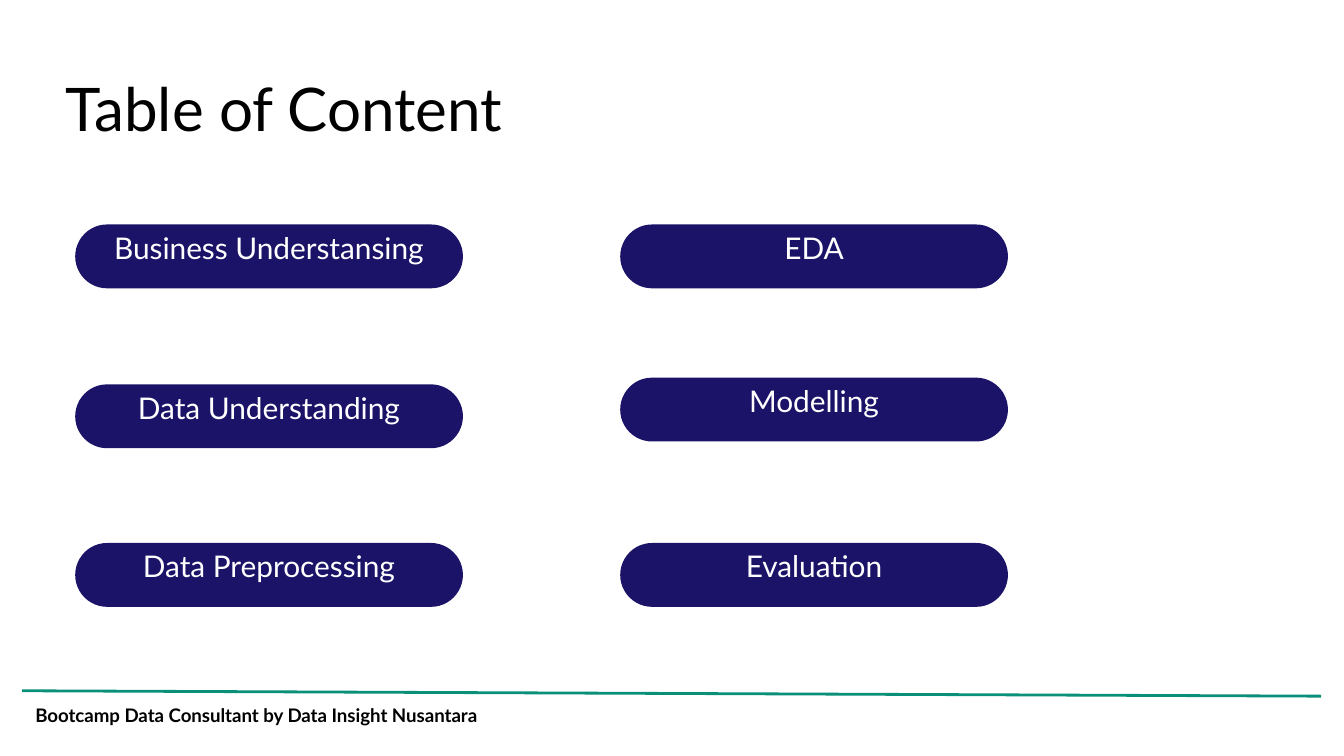
from dataclasses import dataclass

from lxml.etree import SubElement
from pptx import Presentation
from pptx.dml.color import RGBColor
from pptx.enum.shapes import MSO_CONNECTOR as Connector, MSO_SHAPE as Shape
from pptx.enum.text import MSO_ANCHOR as Anchor, MSO_AUTO_SIZE as AutoSize, PP_ALIGN as Align
from pptx.oxml.ns import qn
from pptx.util import Pt

EMU_PER_PX = 4572


@dataclass(frozen=True)
class Theme:
    """Fonts, colours and type sizes of the deck."""
    font: str = "Lato"
    ink: str = "000000"
    paper: str = "FFFFFF"
    pill: str = "1B1368"
    rule: str = "0A9079"
    title_size: float = 32.2
    pill_size: float = 16
    footer_size: float = 10
    rule_width: float = 1.5


THEME = Theme()


def px(length):
    """Turn pixels into EMU."""
    return length * EMU_PER_PX


def rgb(value):
    """Turn a hex string into a colour."""
    return RGBColor.from_string(value)


def place(shape, box):
    """Move and size a shape to a box in px."""
    shape.left, shape.top, shape.width, shape.height = map(px, box)


def write(shape, text, *, size, color=THEME.ink, bold=False, align=Align.LEFT,
          anchor=Anchor.TOP, inset_top=20, line_spacing=1.0, space_before=0):
    """Put one formatted paragraph into a shape."""
    frame = shape.text_frame
    frame.word_wrap = True
    frame.auto_size = AutoSize.NONE
    frame.vertical_anchor = anchor
    frame.margin_left = frame.margin_right = frame.margin_bottom = px(20)
    frame.margin_top = px(inset_top)
    paragraph = frame.paragraphs[0]
    paragraph.alignment = align
    paragraph.line_spacing = line_spacing
    paragraph.space_before = Pt(space_before)
    run = paragraph.add_run()
    run.text = text
    run.font.name = THEME.font
    run.font.size = Pt(size)
    run.font.bold = bold
    run.font.color.rgb = rgb(color)


def add_title(slide, box, text):
    """Fill the title placeholder."""
    title = slide.shapes.title
    place(title, box)
    write(title, text, size=THEME.title_size)


def add_footer(slide, box, text):
    """Draw the slightly sloping rule with the course name below it."""
    left, top, width, height = box
    rule = slide.shapes.add_connector(
        Connector.STRAIGHT, px(left), px(top + 1), px(left + width), px(top + 9))
    rule.line.color.rgb = rgb(THEME.rule)
    rule.line.width = Pt(THEME.rule_width)
    SubElement(rule._element.spPr, qn("a:effectLst"))
    label = slide.shapes.add_textbox(px(left), px(top), px(806), px(height))
    write(label, text, size=THEME.footer_size, bold=True)


def add_pill(slide, box, text):
    """Draw one topic as a fully rounded bar."""
    pill = slide.shapes.add_shape(Shape.ROUNDED_RECTANGLE, *map(px, box))
    pill.adjustments[0] = 0.5
    pill.shadow.inherit = False
    pill.fill.solid()
    pill.fill.fore_color.rgb = rgb(THEME.pill)
    pill.line.fill.background()
    write(pill, text, size=THEME.pill_size, color=THEME.paper, align=Align.CENTER,
          anchor=Anchor.MIDDLE, inset_top=0, line_spacing=0.9, space_before=10)


def add_topics(slide, box, columns):
    """Lay out columns of pills, each topic with its offset from the box top."""
    left, top, width, height = box
    pill_width, pill_height = 577, 95
    step = (width - pill_width) // (len(columns) - 1)
    for index, column in enumerate(columns):
        for text, offset in column:
            add_pill(slide, (left + index * step, top + offset, pill_width, pill_height), text)


def main():
    """Build and save the contents slide."""
    presentation = Presentation()
    presentation.slide_width, presentation.slide_height = px(2000), px(1125)
    slide = presentation.slides.add_slide(presentation.slide_layouts[5])
    slide.background.fill.solid()
    slide.background.fill.fore_color.rgb = rgb(THEME.paper)
    add_footer(slide, (33, 1027, 1933, 74),
               "Bootcamp Data Consultant by Data Insight Nusantara")
    add_title(slide, (78, 86, 798, 142), "Table of Content")
    add_topics(slide, (112, 334, 1388, 569), [
        [("Business Understansing", 0), ("Data Understanding", 238), ("Data Preprocessing", 474)],
        [("EDA", 0), ("Modelling", 228), ("Evaluation", 474)],
    ])
    presentation.save("out.pptx")


if __name__ == "__main__":
    main()
